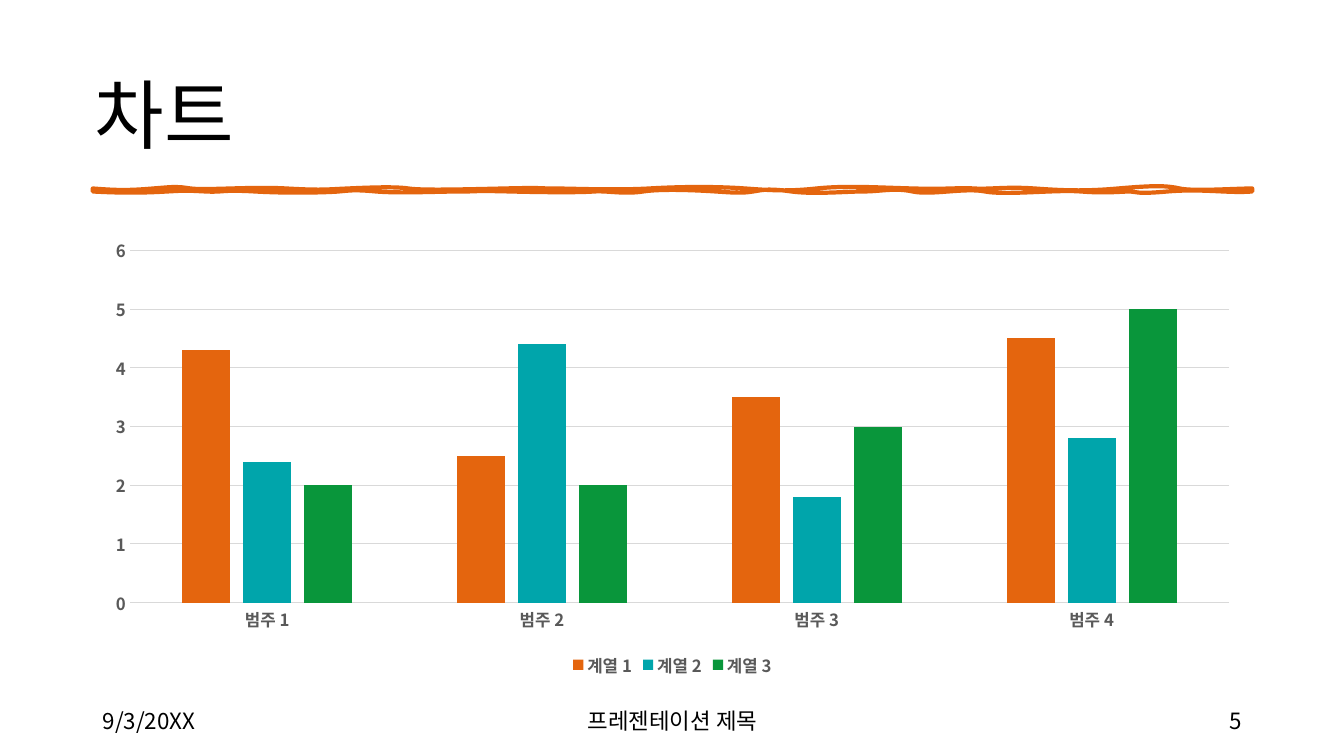
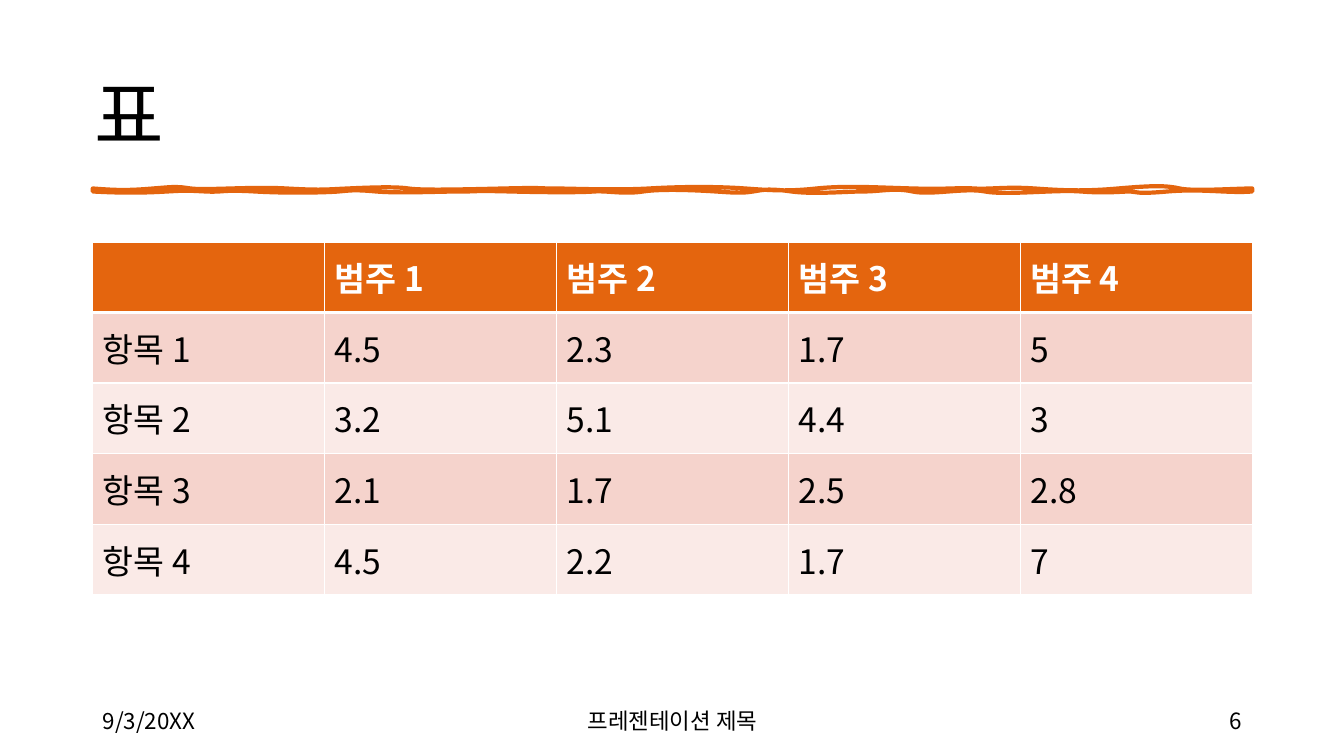
import dataclasses

import pptx
import pptx.chart.data
import pptx.dml.color
import pptx.enum.chart
import pptx.enum.text
import pptx.oxml
import pptx.oxml.ns
import pptx.util
from lxml import etree

qn = pptx.oxml.ns.qn
Align = pptx.enum.text.PP_ALIGN
SLIDE_WIDTH, SLIDE_HEIGHT = 13.33, 7.5


@dataclasses.dataclass(frozen=True)
class Theme:
    """Colours, font and type sizes of the whole presentation."""
    font: str = "Noto Sans CJK KR"
    ink: str = "000000"
    paper: str = "FFFFFF"
    label: str = "595959"
    grid: str = "D9D9D9"
    series: tuple = ("E4650E", "00A5AB", "09963B")
    bands: tuple = ("F5D3CC", "FAEAE7")
    title_size: int = 54
    table_size: int = 24
    footer_size: int = 16
    chart_size: int = 12


@dataclasses.dataclass(frozen=True)
class Box:
    """A region of the slide, in inches."""
    left: float
    top: float
    width: float
    height: float

    def emu(self):
        """Return the region as lengths for python-pptx."""
        return [pptx.util.Inches(value) for value in dataclasses.astuple(self)]

    def columns(self, shares, gap):
        """Split the region into columns by share, with equal gaps."""
        unit = (self.width - gap * (len(shares) - 1)) / sum(shares)
        left = self.left
        for share in shares:
            yield Box(left, self.top, share * unit, self.height)
            left += share * unit + gap


THEME = Theme()
MARGIN, CONTENT_WIDTH = 0.92, 11.5
TITLE_BOX = Box(0.84, 0.4, CONTENT_WIDTH, 1.45)
RULE_BOX = Box(MARGIN, 1.87, CONTENT_WIDTH, 0.03)
CHART_BOX = Box(MARGIN, 2.27, CONTENT_WIDTH, 4.49)
TABLE_BOX = Box(MARGIN, 2.4, CONTENT_WIDTH, 3.5)
FOOTER_BOX = Box(MARGIN, 6.95, CONTENT_WIDTH, 0.4)

# Each wave: control x, control rise, control x, control rise, end x.
UPPER_WAVES = (
    (0.25, 2, 0.36, 2, 0.6), (0.84, -2, 0.83, -2, 0.97),
    (1.12, 2, 1.57, -2, 1.92), (2.27, 2, 2.31, 1, 2.53),
    (2.75, -1, 3, -2, 3.13), (3.26, 2, 3.66, 1, 4.08),
    (4.5, -1, 4.38, 0, 4.57), (4.75, 0, 5.17, 2, 5.52),
    (5.86, -2, 6.19, -2, 6.47), (6.74, 2, 6.9, 3, 7.18),
    (7.47, -3, 7.77, -1, 8.13), (8.5, 1, 8.58, -1, 8.74),
    (8.9, 1, 9.06, -2, 9.34), (9.62, 2, 9.83, 3, 10.17),
    (10.52, -3, 10.65, -3, 10.78), (10.91, 3, 11.34, 0, 11.5),
)
LOWER_WAVES = (
    (11.27, 2, 11.01, -3, 10.66), (10.32, 3, 10.37, 0, 10.29),
    (10.21, 0, 10.04, 2, 9.8), (9.56, -2, 9.05, 4, 8.85),
    (8.65, -4, 8.32, 4, 8.13), (7.95, -4, 7.82, 0, 7.64),
    (7.47, 0, 7.15, 3, 6.93), (6.71, -3, 6.67, -2, 6.55),
    (6.44, 2, 6.33, 1, 6.18), (6.02, -1, 5.65, -3, 5.46),
    (5.27, 3, 5.09, -1, 4.97), (4.85, 1, 4.54, 1, 4.14),
    (3.73, -1, 3.87, 0, 3.65), (3.42, 0, 3.04, 2, 2.81),
    (2.59, -2, 2.56, -1, 2.44), (2.32, 1, 1.95, 2, 1.61),
    (1.26, -2, 1.31, 1, 1.12), (0.92, -1, 0.92, -1, 0.74),
    (0.57, 1, 0.35, 2, 0),
)


def color(value):
    """Turn a hex string into a colour."""
    return pptx.dml.color.RGBColor.from_string(value)


def set_font(font, size, ink, bold=False):
    """Apply the theme font with a size, colour and weight."""
    font.name = THEME.font
    font.size = pptx.util.Pt(size)
    font.bold = bold
    font.color.rgb = color(ink)


def set_east_asian_fonts(element):
    """Use each Latin typeface for East Asian text as well."""
    for latin in list(element.iter(qn("a:latin"))):
        east_asian = etree.Element(qn("a:ea"), typeface=latin.get("typeface"))
        latin.addnext(east_asian)


def wave_curves(base, waves):
    """Return the two control points and the end point of each wave."""
    return [((x1, base + rise1 / 100), (x2, base + rise2 / 100), (end_x, base))
            for x1, rise1, x2, rise2, end_x in waves]


def bend_segments(shape, curves):
    """Turn the straight segments of a freeform into cubic curves."""
    segments = list(shape.element.iter(qn("a:lnTo")))
    for segment, curve in zip(segments, curves):
        bend = etree.Element(qn("a:cubicBezTo"))
        for x, y in curve:
            etree.SubElement(bend, qn("a:pt"), x=str(pptx.util.Inches(x)),
                             y=str(pptx.util.Inches(y)))
        segment.getparent().replace(segment, bend)


def draw_rule(slide, box):
    """Draw the hand-made double rule within its box."""
    right_end = ((box.width, 0), (box.width, box.height), (box.width, box.height))
    left_end = ((0, box.height), (0, 0), (0, 0))
    curves = [*wave_curves(0, UPPER_WAVES), right_end,
              *wave_curves(box.height, LOWER_WAVES), left_end]
    corners = [(pptx.util.Inches(box.left + x), pptx.util.Inches(box.top + y))
               for x, y in [(0, 0), *(curve[-1] for curve in curves)]]
    builder = slide.shapes.build_freeform(*corners[0])
    builder.add_line_segments(corners[1:], close=True)
    rule = builder.convert_to_shape()
    bend_segments(rule, curves)
    rule.shadow.inherit = False
    rule.fill.background()
    rule.line.color.rgb = color(THEME.series[0])
    rule.line.width = pptx.util.Pt(3)
    outline = rule.element.find(".//" + qn("a:ln"))
    outline.set("cap", "rnd")
    etree.SubElement(outline, qn("a:round"))


def prepare_layout(layout):
    """Place the layout's title and drop its unused footer placeholders."""
    title, *footers = layout.placeholders
    title.left, title.top, title.width, title.height = TITLE_BOX.emu()
    for footer in footers:
        layout.shapes.element.remove(footer.element)


def fill_title(slide, text):
    """Write the slide's title in its placeholder."""
    frame = slide.shapes.title.text_frame
    frame.text = text
    frame.auto_size = pptx.enum.text.MSO_AUTO_SIZE.NONE
    frame.vertical_anchor = pptx.enum.text.MSO_ANCHOR.MIDDLE
    paragraph = frame.paragraphs[0]
    paragraph.alignment = Align.LEFT
    set_font(paragraph.font, THEME.title_size, THEME.ink)


def draw_footer(slide, box, number):
    """Write date, presentation title and slide number in three columns."""
    texts = ("9/3/20XX", "프레젠테이션 제목", str(number))
    alignments = (Align.LEFT, Align.CENTER, Align.RIGHT)
    for column, text, alignment in zip(box.columns((2, 3, 2), 0.5), texts, alignments):
        frame = slide.shapes.add_textbox(*column.emu()).text_frame
        frame.word_wrap = True
        frame.vertical_anchor = pptx.enum.text.MSO_ANCHOR.MIDDLE
        frame.text = text
        paragraph = frame.paragraphs[0]
        paragraph.alignment = alignment
        set_font(paragraph.font, THEME.footer_size, THEME.ink)


def set_grid_line(line):
    """Give a chart line the thin grid style."""
    line.color.rgb = color(THEME.grid)
    line.width = pptx.util.Pt(0.75)


def draw_chart(slide, box):
    """Draw the clustered column chart."""
    data = pptx.chart.data.CategoryChartData()
    data.categories = [f"범주 {index}" for index in range(1, 5)]
    rows = ((4.3, 2.5, 3.5, 4.5), (2.4, 4.4, 1.8, 2.8), (2, 2, 3, 5))
    for index, values in enumerate(rows, 1):
        data.add_series(f"계열 {index}", values)
    chart = slide.shapes.add_chart(
        pptx.enum.chart.XL_CHART_TYPE.COLUMN_CLUSTERED, *box.emu(), data).chart
    chart.has_title = False
    chart.has_legend = True
    chart.legend.position = pptx.enum.chart.XL_LEGEND_POSITION.BOTTOM
    chart.legend.include_in_layout = False
    for part in (chart, chart.legend, chart.category_axis.tick_labels,
                 chart.value_axis.tick_labels):
        set_font(part.font, THEME.chart_size, THEME.label, bold=True)

    plot = chart.plots[0]
    plot.vary_by_categories = False
    plot.gap_width, plot.overlap = 219, -27
    for series, fill in zip(plot.series, THEME.series):
        series.format.fill.solid()
        series.format.fill.fore_color.rgb = color(fill)

    for axis in (chart.category_axis, chart.value_axis):
        axis.major_tick_mark = pptx.enum.chart.XL_TICK_MARK.NONE
        axis.minor_tick_mark = pptx.enum.chart.XL_TICK_MARK.NONE
    set_grid_line(chart.category_axis.format.line)
    value_axis = chart.value_axis
    value_axis.minimum_scale, value_axis.maximum_scale = 0, 6
    value_axis.major_unit = 1
    value_axis.format.line.fill.background()
    set_grid_line(value_axis.major_gridlines.format.line)
    set_east_asian_fonts(chart.element)


def set_borders(cell, widths):
    """Draw a cell's left, right, top and bottom borders."""
    properties = cell._tc.get_or_add_tcPr()
    for side, width in zip("LRTB", widths):
        line = etree.SubElement(properties, qn(f"a:ln{side}"),
                                w=str(pptx.util.Pt(width)))
        fill = etree.SubElement(line, qn("a:solidFill"))
        etree.SubElement(fill, qn("a:srgbClr"), val=THEME.paper)


def draw_table(slide, box):
    """Draw the banded table with its header row."""
    rows = (
        ("", *(f"범주 {index}" for index in range(1, 5))),
        ("항목 1", "4.5", "2.3", "1.7", "5"),
        ("항목 2", "3.2", "5.1", "4.4", "3"),
        ("항목 3", "2.1", "1.7", "2.5", "2.8"),
        ("항목 4", "4.5", "2.2", "1.7", "7"),
    )
    table = slide.shapes.add_table(len(rows), len(rows[0]), *box.emu()).table
    for row_index, row in enumerate(rows):
        header = row_index == 0
        fill = THEME.series[0] if header else THEME.bands[(row_index - 1) % 2]
        ink = THEME.paper if header else THEME.ink
        widths = (1, 1, 3 if row_index == 1 else 1, 3 if header else 1)
        for column_index, text in enumerate(row):
            cell = table.cell(row_index, column_index)
            cell.vertical_anchor = pptx.enum.text.MSO_ANCHOR.MIDDLE
            set_borders(cell, widths)
            cell.fill.solid()
            cell.fill.fore_color.rgb = color(fill)
            if text:
                cell.text = text
                set_font(cell.text_frame.paragraphs[0].font,
                         THEME.table_size, ink, header)


def main():
    """Build the presentation."""
    presentation = pptx.Presentation()
    presentation.slide_width = pptx.util.Inches(SLIDE_WIDTH)
    presentation.slide_height = pptx.util.Inches(SLIDE_HEIGHT)
    layout = presentation.slide_layouts.get_by_name("Title Only")
    prepare_layout(layout)
    pages = (("차트", draw_chart, CHART_BOX), ("표", draw_table, TABLE_BOX))
    for number, (title, draw_content, box) in enumerate(pages, 5):
        slide = presentation.slides.add_slide(layout)
        draw_rule(slide, RULE_BOX)
        fill_title(slide, title)
        draw_content(slide, box)
        draw_footer(slide, FOOTER_BOX, number)
        set_east_asian_fonts(slide.element)
    presentation.save("out.pptx")


if __name__ == "__main__":
    main()
